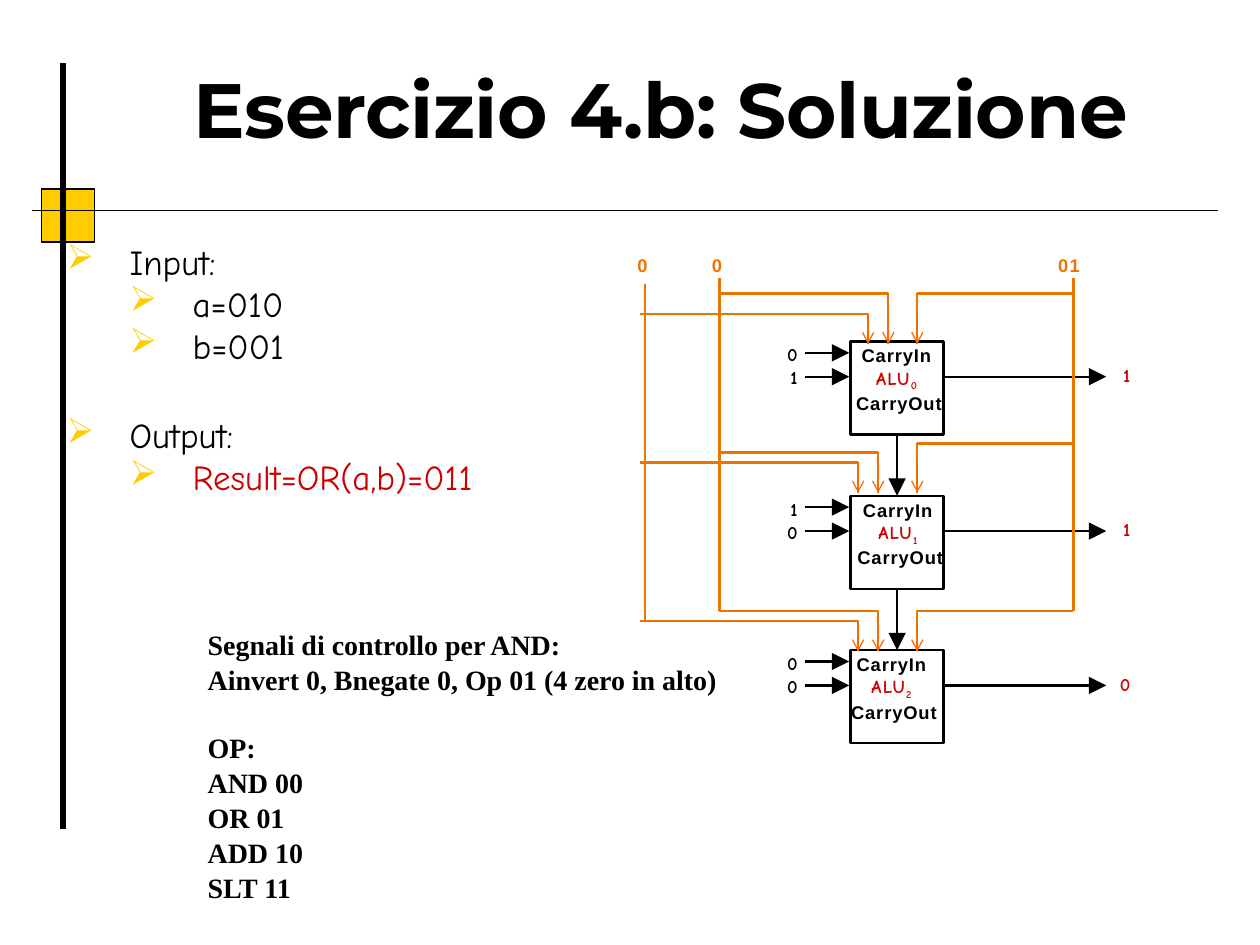
from lxml import etree
from pptx import Presentation
from pptx.dml.color import RGBColor
from pptx.enum.shapes import MSO_CONNECTOR, MSO_SHAPE
from pptx.enum.text import PP_ALIGN
from pptx.oxml.ns import qn
from pptx.util import Inches, Pt

STRAIGHT = MSO_CONNECTOR.STRAIGHT
RECTANGLE = MSO_SHAPE.RECTANGLE
LEFT, CENTER, RIGHT = PP_ALIGN.LEFT, PP_ALIGN.CENTER, PP_ALIGN.RIGHT
TOP_SITE, BOTTOM_SITE = 0, 2

COLORS = {
    "black": "000000",
    "yellow": "FFCC00",
    "red": "CC0000",
    "wire": "EB7500",
    "tip": "FF6600",
}
SANS, HAND, HEADING, SERIF = "Arial", "Comic Neue", "Montserrat", "Times New Roman"


class SlideBuilder:
    def __init__(self, slide):
        self.slide = slide
        self.shapes = slide.shapes

    def color(self, name):
        return RGBColor.from_string(COLORS[name])

    def stroke(self, shape, color, width):
        shape.line.color.rgb = self.color(color)
        shape.line.width = Pt(width)

    def box(self, left, top, width, height, line_width, fill=None):
        box = self.shapes.add_shape(
            RECTANGLE, Inches(left), Inches(top), Inches(width), Inches(height))
        box.shadow.inherit = False
        if fill:
            box.fill.solid()
            box.fill.fore_color.rgb = self.color(fill)
        else:
            box.fill.background()
        self.stroke(box, "black", line_width)
        return box

    def line(self, start, end, color="black", width=1.3, head=None, size="med"):
        line = self.shapes.add_connector(
            STRAIGHT, Inches(start[0]), Inches(start[1]), Inches(end[0]), Inches(end[1]))
        self.stroke(line, color, width)
        if head:
            etree.SubElement(line.line._get_or_add_ln(), qn("a:tailEnd"),
                             type=head, w=size, len=size)
        etree.SubElement(line._element.spPr, qn("a:effectLst"))
        return line

    def wire(self, points):
        corners = [(Inches(x), Inches(y)) for x, y in points]
        outline = self.shapes.build_freeform(*corners[0])
        outline.add_line_segments(corners[1:], close=False)
        wire = outline.convert_to_shape()
        wire.shadow.inherit = False
        wire.fill.background()
        self.stroke(wire, "wire", 1.3)

    def format_run(self, run, size, font, color, bold=True, spacing=0, baseline=0):
        run.font.size = Pt(size)
        run.font.name = font
        run.font.bold = bold
        run.font.color.rgb = self.color(color)
        properties = run._r.get_or_add_rPr()
        if spacing:
            properties.set("spc", str(round(spacing * 100)))
        if baseline:
            properties.set("baseline", str(baseline * 1000))

    def text(self, left, top, width, height, lines, size, font, color="black",
             bold=True, align=LEFT, spacing=0, line_spacing=None, insets=(0, 0, 0, 0)):
        frame = self.shapes.add_textbox(
            Inches(left), Inches(top), Inches(width), Inches(height)).text_frame
        frame.word_wrap = True
        (frame.margin_left, frame.margin_top,
         frame.margin_right, frame.margin_bottom) = map(Inches, insets)
        frame.text = "\n".join(lines)
        for paragraph in frame.paragraphs:
            paragraph.alignment = align
            if line_spacing:
                paragraph.line_spacing = line_spacing
            for run in paragraph.runs:
                self.format_run(run, size, font, color, bold, spacing)
        return frame.paragraphs

    def bullet(self, paragraph, level):
        paragraph.level = level
        properties = paragraph._p.get_or_add_pPr()
        properties.set("marL", str(Inches(0.5 * (level + 1))))
        properties.set("indent", str(Inches(-0.5)))
        tint = etree.SubElement(properties, qn("a:buClr"))
        etree.SubElement(tint, qn("a:srgbClr"), val=COLORS["yellow"])
        etree.SubElement(properties, qn("a:buChar"), char="➢")

    def alu(self, index, left, top, width):
        carry_in, name, carry_out = self.text(
            left, top, width, 0.54, ["CarryIn", "ALU", "CarryOut"], 10.5, SANS,
            align=CENTER, spacing=0.55, line_spacing=1.02)
        self.format_run(name.runs[0], 10.5, HAND, "red", spacing=0.75)
        subscript = name.add_run()
        subscript.text = str(index)
        self.format_run(subscript, 10.5, HAND, "red", spacing=0.6, baseline=-25)
        carry_out._p.get_or_add_pPr().set("marL", str(Inches(0.04)))


def draw_frame(builder):
    builder.box(0.33, 1.5, 0.42, 0.42, 0.75, "yellow")
    builder.line((0.5, 6.58), (0.5, 0.5), width=3)
    builder.line((0.25, 1.67), (9.67, 1.67), width=0.75)
    builder.text(1.08, 0.42, 8.33, 0.81, ["Esercizio 4.b: Soluzione"], 44, HEADING,
                 align=CENTER, spacing=-0.2, insets=(0, 0.07, 0, 0))


def draw_texts(builder):
    insets = (0.1, 0.05, 0.1, 0.05)
    items = [("Input:", 0), ("a=010", 1), ("b=001", 1),
             ("Output:", 0), ("Result=OR(a,b)=011", 1)]
    paragraphs = builder.text(0.43, 1.86, 9.69, 2.46, [item for item, _ in items],
                              20, HAND, bold=False, insets=insets)
    for paragraph, (_, level) in zip(paragraphs, items):
        builder.bullet(paragraph, level)
    paragraphs[3].space_before = Pt(27)
    paragraphs[4].runs[0].font.color.rgb = builder.color("red")

    signals = ["Segnali di controllo per AND:",
               "Ainvert 0, Bnegate 0, Op 01 (4 zero in alto)",
               "OP:", "AND 00", "OR 01", "ADD 10", "SLT 11"]
    paragraphs = builder.text(1.55, 4.92, 5.58, 2.52, signals, 16, SERIF,
                              line_spacing=1.04, insets=insets)
    paragraphs[2].space_before = Pt(19)


def draw_stages(builder):
    first_top, pitch = 2.71, 1.225
    stages = [("01", "1", 6.73, 0.77), ("10", "1", 6.73, 0.79), ("00", "0", 6.65, 0.85)]
    previous = None
    for index, (inputs, result, label_left, label_width) in enumerate(stages):
        top = first_top + index * pitch
        body = builder.box(6.75, top, 0.74, 0.74, 1.35)
        for offset in (0.09, 0.28):
            builder.line((6.39, top + offset), (6.74, top + offset),
                         head="triangle", size="lg")
        builder.line((7.49, top + 0.28), (8.78, top + 0.28), head="triangle", size="lg")
        if previous:
            carry = builder.line((7.12, top - pitch + 0.74), (7.12, top),
                                 width=1.42, head="triangle", size="lg")
            carry.begin_connect(previous, BOTTOM_SITE)
            carry.end_connect(body, TOP_SITE)
        previous = body
        builder.alu(index, label_left, top + 0.02, label_width)
        builder.text(6.12, top + 0.01, 0.21, 0.37, inputs, 10.5, HAND,
                     align=RIGHT, spacing=0.3, line_spacing=1.04)
        builder.text(8.39, top + 0.18, 0.58, 0.18, [result], 10.5, HAND, "red",
                     align=RIGHT, spacing=1.1)


def draw_control_wires(builder):
    ainvert, bnegate, operation = 5.12, 5.71, 8.52
    for x, top, bottom in ((ainvert, 2.25, 4.93), (bnegate, 2.21, 4.85),
                           (operation, 2.21, 4.85)):
        builder.line((x, bottom), (x, top), "wire", 1.42)

    drops = [
        (2.73, (6.89, 2.49), (7.05, 2.33), (7.28, 2.33)),
        (3.91, (6.81, 3.67), (6.97, 3.59), (7.28, 3.52)),
        (5.17, (6.81, 4.93), (6.97, 4.85), (7.28, 4.85)),
    ]
    for tip, *branches in drops:
        for start, (x, y) in zip((5.08, bnegate, operation), branches):
            builder.wire([(start, y), (x, y), (x, tip)])
            builder.line((x, tip - 0.24), (x, tip), "tip", 0.75, "arrow")

    for value, left, width in (("0", 4.61, 0.53), ("0", 5.08, 0.65), ("01", 7.83, 0.74)):
        builder.text(left, 2.02, width, 0.17, [value], 10.5, SANS, "wire",
                     align=RIGHT, spacing=0.75)


def main():
    presentation = Presentation()
    presentation.slide_width, presentation.slide_height = Inches(10), Inches(7.5)
    builder = SlideBuilder(presentation.slides.add_slide(presentation.slide_layouts[6]))
    draw_frame(builder)
    draw_texts(builder)
    draw_stages(builder)
    draw_control_wires(builder)
    presentation.save("out.pptx")


if __name__ == "__main__":
    main()
